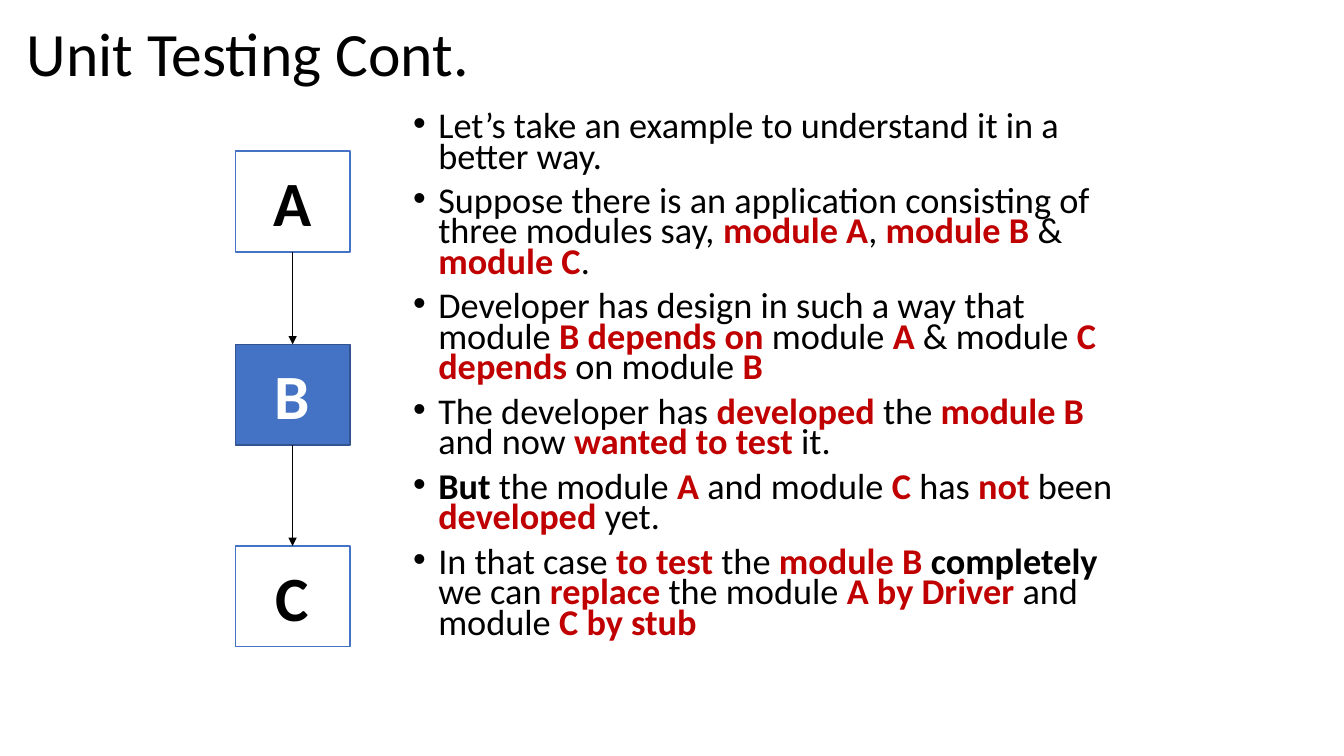
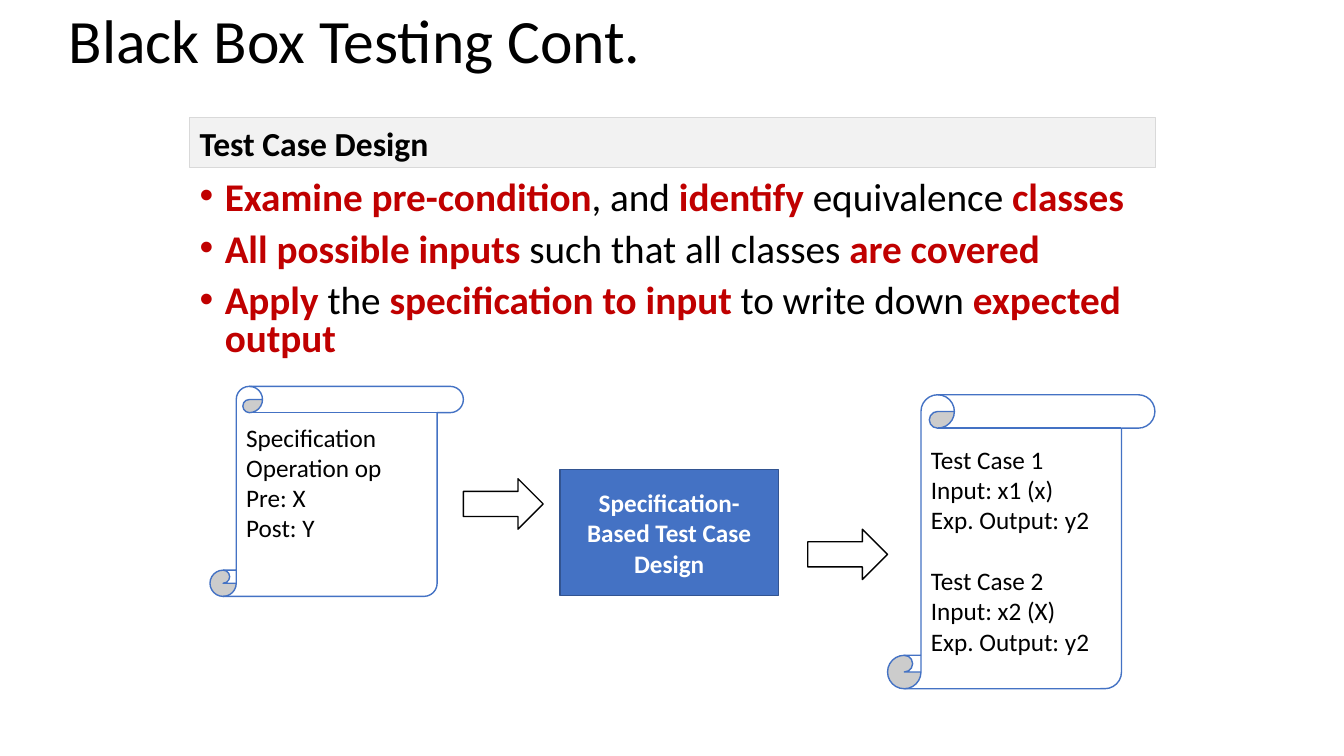
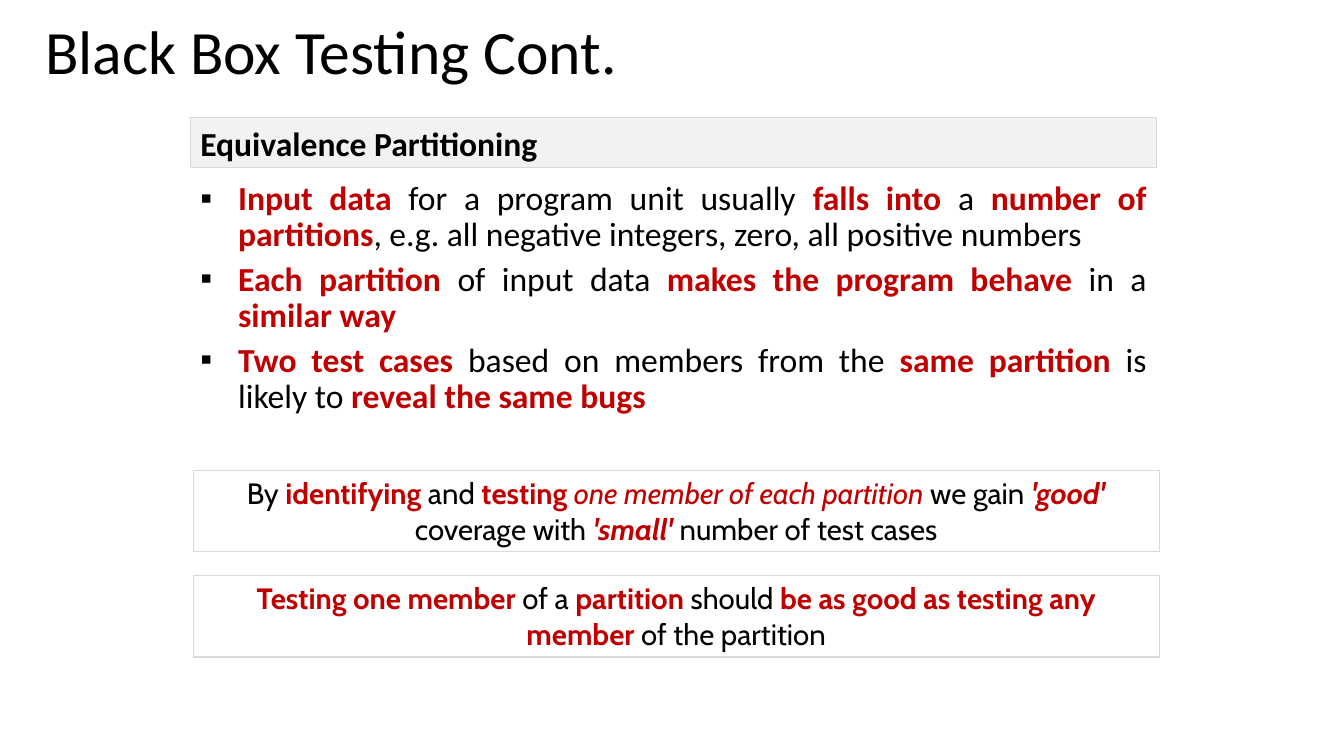
"""Build three slides on unit testing and black box testing."""
import itertools

import pptx
import pptx.util
import pptx.dml.color
import pptx.enum.shapes
import pptx.enum.text
import pptx.oxml
import pptx.oxml.ns
from lxml import etree

Pt = pptx.util.Pt
SHAPE = pptx.enum.shapes.MSO_SHAPE
ALIGN = pptx.enum.text.PP_ALIGN
ANCHOR = pptx.enum.text.MSO_ANCHOR

COLORS = {
    "black": "000000",
    "white": "FFFFFF",
    "red": "C00000",
    "blue": "4472C4",
    "navy": "325491",
    "band": "F2F2F2",
    "border": "D9D9D9",
}
MARKS = {
    "*": {"color": "red", "bold": True},
    "_": {"color": "black", "bold": True},
    "~": {"color": "red", "italic": True},
    "^": {"color": "red", "bold": True, "italic": True},
}


def rgb(name):
    return pptx.dml.color.RGBColor.from_string(COLORS[name])


def add_xml(parent, tag, **attrs):
    return etree.SubElement(parent, pptx.oxml.ns.qn(tag), attrs)


def split_runs(line):
    mark = None
    text = ""
    for ch in line:
        if ch in MARKS:
            if text:
                yield text, mark
            mark, text = (None if ch == mark else ch), ""
        else:
            text += ch
    if text:
        yield text, mark


def write(tf, text, size=18, font="Calibri", color="black", bold=False,
          align=ALIGN.LEFT, spacing=None, before=0, bullet=None,
          bullet_color="black", indent=18, gaps=None):
    tf.word_wrap = True
    tf.auto_size = pptx.enum.text.MSO_AUTO_SIZE.NONE
    for i, line in enumerate(text.split("\n")):
        p = tf.add_paragraph() if i else tf.paragraphs[0]
        p.alignment = align
        p.space_before = Pt((gaps or {}).get(i, before))
        if spacing:
            p.line_spacing = spacing
        if bullet:
            pPr = p._p.get_or_add_pPr()
            pPr.set("marL", str(Pt(indent)))
            pPr.set("indent", str(-Pt(indent)))
            clr = add_xml(pPr, "a:buClr")
            add_xml(clr, "a:srgbClr", val=COLORS[bullet_color])
            add_xml(pPr, "a:buFont", typeface="Arial")
            add_xml(pPr, "a:buChar", char=bullet)
        for part, mark in split_runs(line):
            look = {"color": color, "bold": bold, "italic": False}
            look.update(MARKS.get(mark, {}))
            r = p.add_run()
            r.text = part
            r.font.size = Pt(size)
            r.font.name = font
            r.font.bold = look["bold"]
            r.font.italic = look["italic"]
            r.font.color.rgb = rgb(look["color"])


class Deck:
    def __init__(self):
        self.prs = pptx.Presentation()
        self.prs.slide_width = Pt(960)
        self.prs.slide_height = Pt(540)
        self.s = None

    def slide(self, title, x, y, w, h):
        self.s = self.prs.slides.add_slide(self.prs.slide_layouts[5])
        sp = self.s.shapes.title
        sp.left, sp.top, sp.width, sp.height = Pt(x), Pt(y), Pt(w), Pt(h)
        sp.text_frame.vertical_anchor = ANCHOR.MIDDLE
        write(sp.text_frame, title, size=44, spacing=0.9)

    def bullets(self, text, x, y, w, h, **fmt):
        sp = self.s.shapes.add_textbox(Pt(x), Pt(y), Pt(w), Pt(h))
        write(sp.text_frame, text, **fmt)

    def shape(self, kind, x, y, w, h, fill="white", line="blue", weight=1,
              text="", anchor=ANCHOR.MIDDLE, bottom=3.6, **fmt):
        sp = self.s.shapes.add_shape(kind, Pt(x), Pt(y), Pt(w), Pt(h))
        sp.shadow.inherit = False
        if fill:
            sp.fill.solid()
            sp.fill.fore_color.rgb = rgb(fill)
        else:
            sp.fill.background()
        sp.line.color.rgb = rgb(line)
        sp.line.width = Pt(weight)
        if text:
            tf = sp.text_frame
            tf.vertical_anchor = anchor
            tf.margin_bottom = Pt(bottom)
            write(tf, text, **fmt)
        return sp

    def box(self, text, x, y, w, h, solid=False, **fmt):
        fill, line, color = (("blue", "navy", "white") if solid
                             else ("white", "blue", "black"))
        return self.shape(SHAPE.RECTANGLE, x, y, w, h, fill, line, text=text,
                          color=color, bold=True, align=ALIGN.CENTER, **fmt)

    def panel(self, text, x, y, h, fill=None, **fmt):
        self.shape(SHAPE.RECTANGLE, x, y, 690, h, fill, "border", 0.75,
                   text=text, anchor=ANCHOR.TOP, **fmt)

    def band(self, text, x):
        self.panel(text, x, 84, 36, "band", size=24, bold=True)

    def scroll(self, text, x, y, w, h, **fmt):
        self.shape(SHAPE.VERTICAL_SCROLL, x, y, w, h, text=text, **fmt)

    def block_arrow(self, x, y):
        self.shape(SHAPE.RIGHT_ARROW, x, y, 57, 36, line="black")

    def arrow_down(self, upper, lower):
        x = upper.left + upper.width // 2
        cn = self.s.shapes.add_connector(
            pptx.enum.shapes.MSO_CONNECTOR.STRAIGHT,
            x, upper.top + upper.height, x, lower.top)
        cn.begin_connect(upper, 2)
        cn.end_connect(lower, 0)
        cn.line.color.rgb = rgb("black")
        cn.line.width = Pt(0.5)
        add_xml(cn.line._get_or_add_ln(), "a:tailEnd", type="triangle")
        add_xml(cn._element.spPr, "a:effectLst")


def unit_testing(d):
    d.slide("Unit Testing Cont.", 12, 0, 333, 81)
    d.bullets(
        "Let’s take an example to understand it in a better way.\n"
        "Suppose there is an application consisting of three modules say, "
        "*module A*, *module B *& *module C*.\n"
        "Developer has design in such a way that module *B depends on *module "
        "*A* & module *C depends* on module *B*\n"
        "The developer has *developed *the *module B* and now "
        "*wanted to test* it.\n"
        "_But _the module *A* and module *C* has *not *been *developed *yet.\n"
        "In that case *to test* the *module B *_completely_ we can *replace "
        "*the module *A by Driver* and module *C by stub*",
        288, 78, 537, 420, size=25.9, spacing=0.7, before=10, bullet="•")
    modules = [d.box(name, 168, y, 82, 72, solid=name == "B", size=45)
               for name, y in (("A", 108), ("B", 246), ("C", 390))]
    for upper, lower in itertools.pairwise(modules):
        d.arrow_down(upper, lower)


def test_case_design(d):
    d.slide("Black Box Testing Cont.", 42, 0, 524, 62)
    d.bullets(
        "*Examine pre-condition*, and *identify *equivalence *classes*\n"
        "*All possible inputs* such that all classes* are covered*\n"
        "*Apply *the *specification to input *to write down *expected output*",
        135.5, 126, 690, 144, size=28, spacing=0.8, before=10, bullet="•",
        bullet_color="red")
    d.band("Test Case Design", 135.5)
    d.scroll("Specification\nOperation op\nPre: X\nPost: Y",
             150, 276, 181, 150, bottom=25.6)
    d.scroll("Test Case 1\nInput: x1 (x)\nExp. Output: y2\n"
             "Test Case 2\nInput: x2 (X)\nExp. Output: y2",
             634, 282, 191, 210, gaps={3: 22})
    d.box("Specification-\nBased Test Case\nDesign", 400, 335.5, 156, 90,
          solid=True)
    d.block_arrow(331, 342)
    d.block_arrow(577, 378)


def equivalence_partitioning(d):
    d.slide("Black Box Testing Cont.", 25, 9.5, 447, 59)
    notes = (
        "By *identifying *and *testing *~one member of each partition~ we gain "
        "^'good'^ coverage with ^'small'^ number of test cases",
        "*Testing one member *of a *partition *should "
        "*be as good as testing any member* of the partition",
    )
    for i, note in enumerate(notes):
        d.panel(note, 138, 336 + 75 * i, 58.3, size=21, font="Cabin",
                align=ALIGN.CENTER)
    d.bullets(
        "*Input data *for a program unit usually *falls into* a *number of "
        "partitions*, e.g. all negative integers, zero, all positive numbers\n"
        "*Each partition* of input data *makes the program behave *in a "
        "*similar way*\n"
        "*Two test cases* based on members from the *same partition* is "
        "likely to* reveal the same bugs*",
        136, 126, 690, 180, size=24, align=ALIGN.JUSTIFY, spacing=0.9,
        before=6, bullet="▪", indent=27)
    d.band("Equivalence Partitioning", 136)


def main():
    d = Deck()
    unit_testing(d)
    test_case_design(d)
    equivalence_partitioning(d)
    d.prs.save("out.pptx")


if __name__ == "__main__":
    main()
